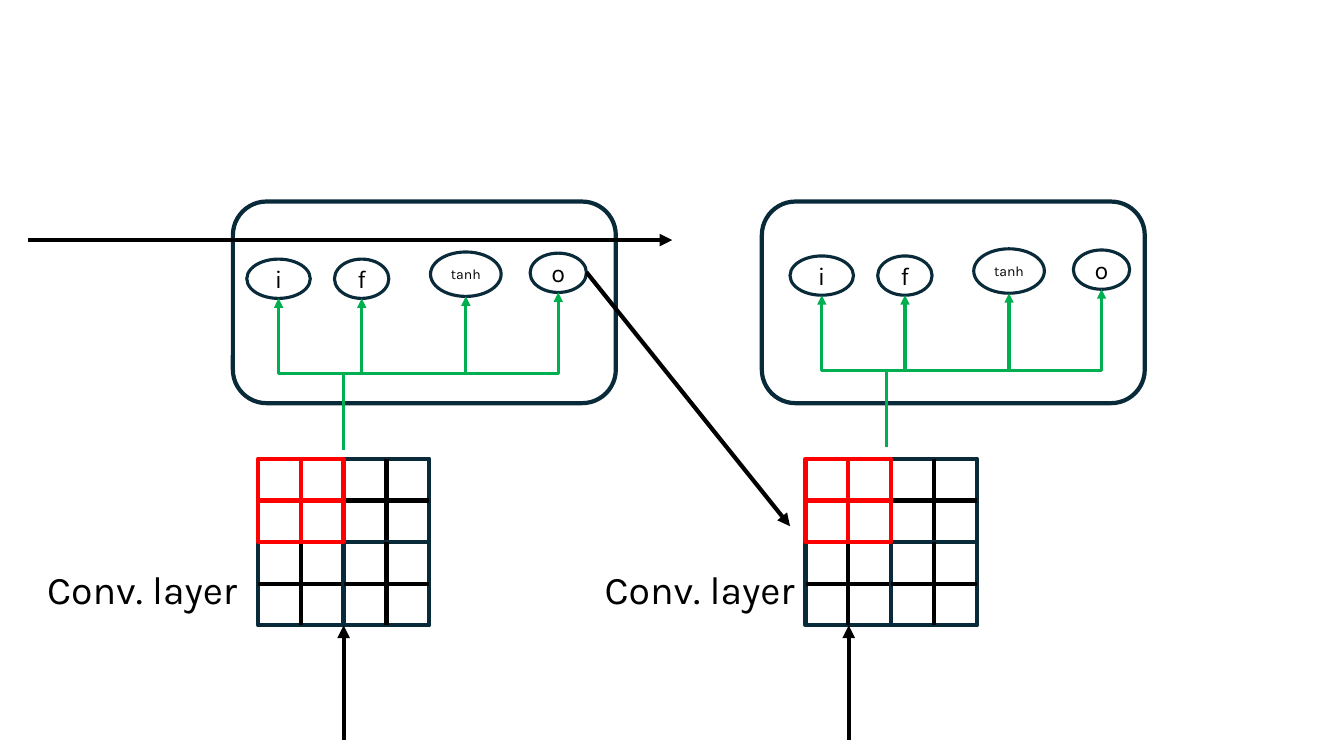
from lxml.etree import SubElement
from pptx import Presentation
from pptx.dml.color import RGBColor
from pptx.enum.shapes import MSO_CONNECTOR, MSO_SHAPE
from pptx.enum.text import MSO_ANCHOR, PP_ALIGN
from pptx.oxml.ns import qn
from pptx.util import Cm, Pt

COLOURS = {"white": "FFFFFF", "navy": "092A39", "black": "000000",
           "red": "FF0000", "green": "00B050"}
FONT = "Karla"

# Lengths are in centimetres
CELL_TOP, CELL_WIDTH, CELL_HEIGHT = 5.08, 9.65, 5.08
GRID_TOP, PATCH_WIDTH, PATCH_HEIGHT = 11.56, 2.16, 2.1
GRID_BOTTOM = GRID_TOP + 2 * PATCH_HEIGHT
LABEL_TOP = 14.12
CELLS = [
    {"cell": 5.87, "grid": 6.5, "label": 0.94, "input": 8.66, "shift": (0, 0)},
    {"cell": 19.2, "grid": 20.3, "label": 14.99, "input": 21.39, "shift": (13.69, -0.08)},
]
# Gate: text, size, left, top, width, height, start of its branch
GATES = [
    ("i", 18, 6.22, 6.53, 1.6, 0.99, 11.35),
    ("f", 18, 8.43, 6.53, 1.37, 0.99, 10.77),
    ("tanh", 10, 10.85, 6.35, 1.78, 1.12, 11.33),
    ("o", 18, 13.36, 6.38, 1.42, 0.99, None),
]
STEM_X, BUS_Y, LAST_BRANCH_X = 8.66, 9.42, 10.26


def colour(name):
    return RGBColor.from_string(COLOURS[name])


class Diagram:
    """Holds the deck, the current page and the drawing style."""

    def __init__(self):
        self.deck = Presentation()
        self.deck.slide_width, self.deck.slide_height = Cm(33.87), Cm(19.05)
        self.page = self.deck.slides.add_slide(self.deck.slide_layouts[6])

    def add_words(self, box, text, size, **paragraph_format):
        paragraph = box.text_frame.paragraphs[0]
        for name, value in paragraph_format.items():
            setattr(paragraph, name, value)
        span = paragraph.add_run()
        span.text = text
        for name, value in {"name": FONT, "size": Pt(size)}.items():
            setattr(span.font, name, value)
        span.font.color.rgb = colour("black")

    def shape(self, kind, left, top, width, height, line="navy", weight=3):
        box = self.page.shapes.add_shape(kind, Cm(left), Cm(top), Cm(width), Cm(height))
        box.shadow.inherit = False
        box.fill.solid()
        box.fill.fore_color.rgb = colour("white")
        box.line.color.rgb = colour(line)
        box.line.width = Pt(weight)
        return box

    def gate(self, text, size, left, top, width, height):
        box = self.shape(MSO_SHAPE.OVAL, left, top, width, height, weight=2.25)
        for name, value in {"word_wrap": False, "vertical_anchor": MSO_ANCHOR.MIDDLE}.items():
            setattr(box.text_frame, name, value)
        self.add_words(box, text, size, alignment=PP_ALIGN.CENTER)

    def label(self, text, left, top):
        box = self.page.shapes.add_textbox(Cm(left), Cm(top), Cm(5.31), Cm(1.45))
        box.text_frame.word_wrap = False
        self.add_words(box, text, 28)

    def line(self, x1, y1, x2, y2, ink="black", weight=3, arrow=False,
             kind=MSO_CONNECTOR.STRAIGHT):
        connector = self.page.shapes.add_connector(kind, Cm(x1), Cm(y1), Cm(x2), Cm(y2))
        connector.line.color.rgb = colour(ink)
        connector.line.width = Pt(weight)
        properties = connector._element.spPr
        if arrow:
            SubElement(properties.find(qn("a:ln")), qn("a:tailEnd"), type="triangle")
        SubElement(properties, qn("a:effectLst"))
        return connector

    def elbow(self, x1, y1, x2, y2):
        return self.line(x1, y1, x2, y2, "green", 2.25, True, MSO_CONNECTOR.ELBOW)

    def branch(self, x1, y1, x2, y2, bus):
        """Up from the stem, along the bus, then up to a gate."""
        connector = self.elbow(x1, y1, x2, y2)
        length, breadth = y1 - y2, abs(x2 - x1)
        frame = {"left": (x1 + x2 - length) / 2, "top": (y1 + y2 - breadth) / 2,
                 "width": length, "height": breadth}
        for name, value in frame.items():
            setattr(connector, name, Cm(value))
        leftward = x2 < x1
        turn = {"rot": str((270 if leftward else 90) * 60000),
                "flipH": "0" if leftward else "1", "flipV": "1"}
        properties = connector._element.spPr
        for name, value in turn.items():
            properties.find(qn("a:xfrm")).set(name, value)
        bend = round((y1 - bus) / length * 100000)
        guides = properties.find(qn("a:prstGeom")).find(qn("a:avLst"))
        SubElement(guides, qn("a:gd"), name="adj1", fmla=f"val {bend}")

    def corner(self, x1, y1, x2, y2):
        """Along the bus, then up to the last gate."""
        connector = self.elbow(x1, y1, x2, y2)
        connector._element.spPr.find(qn("a:prstGeom")).set("prst", "bentConnector2")

    def patch(self, left, top, outline="navy", inner="black"):
        """A square of the grid, split in four."""
        self.shape(MSO_SHAPE.RECTANGLE, left, top, PATCH_WIDTH, PATCH_HEIGHT, outline)
        middle_x, middle_y = left + PATCH_WIDTH / 2, top + PATCH_HEIGHT / 2
        self.line(middle_x, top, middle_x, top + PATCH_HEIGHT, inner)
        self.line(left + PATCH_WIDTH, middle_y, left, middle_y, inner)

    def grid(self, left):
        for column, row in [(1, 0), (0, 1), (1, 1)]:
            self.patch(left + column * PATCH_WIDTH, GRID_TOP + row * PATCH_HEIGHT)

    def gates(self, shift_x, shift_y):
        for text, size, left, top, width, height, _ in GATES:
            self.gate(text, size, left + shift_x, top + shift_y, width, height)
        bus = BUS_Y + shift_y
        for _, _, left, top, width, height, start in GATES:
            x, y = left + width / 2 + shift_x, top + height + shift_y
            if start is None:
                self.corner(LAST_BRANCH_X + shift_x, bus, x, y)
            else:
                self.branch(STEM_X + shift_x, start + shift_y, x, y, bus)


def main():
    diagram = Diagram()

    # Cell outlines
    for cell in CELLS:
        diagram.shape(MSO_SHAPE.ROUNDED_RECTANGLE, cell["cell"], CELL_TOP,
                      CELL_WIDTH, CELL_HEIGHT)

    # Input grids, arrows and red kernel windows
    for cell in CELLS:
        diagram.grid(cell["grid"])
        diagram.line(cell["input"], 18.64, cell["input"], GRID_BOTTOM, arrow=True)
        diagram.patch(cell["grid"], GRID_TOP, "red", "red")

    # Gates with their branches, and labels
    for cell in CELLS:
        diagram.gates(*cell["shift"])
        diagram.label("Conv. layer", cell["label"], LABEL_TOP)

    # Hidden state and cell state
    diagram.line(14.78, 6.86, 19.91, 13.26, arrow=True)
    diagram.line(0.71, 6.05, 16.94, 6.05, arrow=True)

    diagram.deck.save("out.pptx")


if __name__ == "__main__":
    main()
